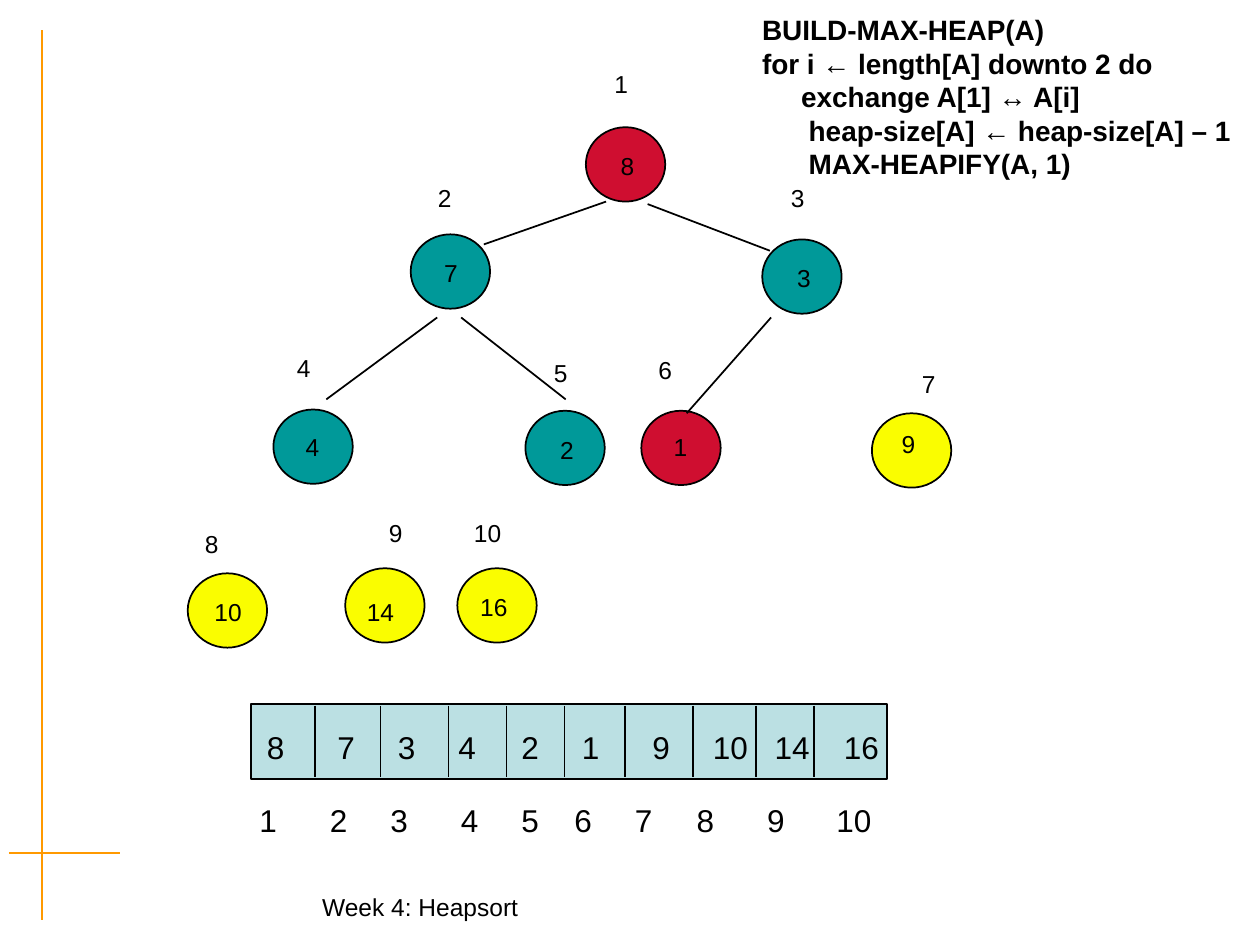
from lxml import etree
from pptx import Presentation
from pptx import util as u
from pptx.dml.color import RGBColor
from pptx.enum import shapes, text
from pptx.oxml.ns import qn

BLACK = RGBColor(0x00, 0x00, 0x00)
ORANGE = RGBColor(0xFF, 0x99, 0x00)
RED = RGBColor(0xCF, 0x0E, 0x30)
TEAL = RGBColor(0x00, 0x99, 0x99)
YELLOW = RGBColor(0xFA, 0xFD, 0x00)
PALE_BLUE = RGBColor(0xBB, 0xE0, 0xE3)

CENTER = text.PP_ALIGN.CENTER
LEFT = text.PP_ALIGN.LEFT

# Heap nodes: value, colour, then left and top of circle, value and index
NODES = [
    ("8", RED, (4.65, 1.01), (4.71, 1.15), (4.69, 0.5)),
    ("7", TEAL, (3.26, 1.86), (3.31, 2.0), (3.29, 1.4)),
    ("3", TEAL, (6.05, 1.9), (6.11, 2.04), (6.09, 1.4)),
    ("4", TEAL, (2.17, 3.25), (2.21, 3.38), (2.17, 2.75)),
    ("2", TEAL, (4.17, 3.26), (4.23, 3.4), (4.21, 2.79)),
    ("1", RED, (5.09, 3.26), (5.13, 3.38), (5.04, 2.77)),
    ("9", YELLOW, (6.92, 3.28), (6.94, 3.36), (7.13, 2.88)),
    ("10", YELLOW, (1.49, 4.55), (1.54, 4.69), (1.44, 4.15)),
    ("14", YELLOW, (2.74, 4.51), (2.75, 4.69), (2.9, 4.06)),
    ("16", YELLOW, (3.63, 4.51), (3.65, 4.65), (3.63, 4.06)),
]
EDGES = [
    ((4.81, 1.6), (3.84, 1.94)),
    ((5.14, 1.62), (6.11, 1.99)),
    ((3.47, 2.52), (2.59, 3.17)),
    ((3.66, 2.52), (4.49, 3.17)),
    ((6.12, 2.52), (5.45, 3.28)),
]

# Array cells and the tab stops of the two rows of numbers
DIVIDERS = [2.5, 3.02, 3.56, 4.02, 4.48, 4.96, 5.5, 6.0, 6.46]
VALUE_TABS = [0.56, 1.04, 1.52, 2.02, 2.5, 3.06, 3.54, 4.03, 4.58]
INDEX_TABS = [0.56, 1.04, 1.6, 2.08, 2.5, 2.98, 3.47, 4.03, 4.58]

# Pseudocode lines with their indents
CODE = [
    ("BUILD-MAX-HEAP(A)", 0),
    ("for i ← length[A] downto 2 do", 0),
    ("exchange A[1] ↔ A[i]", 0.31),
    ("heap-size[A] ← heap-size[A] – 1", 0.37),
    ("MAX-HEAPIFY(A, 1)", 0.37),
]


def write_line(para, words, *, size=14, bold=False, align=LEFT, indent=0, tabs=()):
    para.alignment = align
    span = para.add_run()
    span.text = words
    span.font.name = "Arial"
    span.font.size = u.Pt(size)
    span.font.bold = bold
    span.font.color.rgb = BLACK
    properties = para._p.get_or_add_pPr()
    if indent:
        properties.set("marL", str(u.Inches(indent)))
        properties.set("indent", "0")
    if tabs:
        stops = etree.SubElement(properties, qn("a:tabLst"))
        for tab in tabs:
            etree.SubElement(stops, qn("a:tab"), pos=str(u.Inches(tab)), algn="l")


class HeapPage:
    """Line style and the page being drawn."""

    def __init__(self, page, line_width=1):
        self.page = page
        self.line_width = line_width

    def line(self, start, end, color=BLACK, width=None):
        connector = self.page.shapes.add_connector(
            shapes.MSO_CONNECTOR.STRAIGHT, *map(u.Inches, start + end))
        connector.line.color.rgb = color
        connector.line.width = u.Pt(width or self.line_width)
        etree.SubElement(connector._element.spPr, qn("a:effectLst"))

    def shape(self, kind, left, top, width, height, fill):
        shape = self.page.shapes.add_shape(
            kind, *map(u.Inches, (left, top, width, height)))
        shape.shadow.inherit = False
        shape.fill.solid()
        shape.fill.fore_color.rgb = fill
        shape.line.color.rgb = BLACK
        shape.line.width = u.Pt(self.line_width)

    def text(self, left, top, width, height, lines, **style):
        box = self.page.shapes.add_textbox(
            *map(u.Inches, (left, top, width, height)))
        frame = box.text_frame
        frame.word_wrap = True
        frame.auto_size = text.MSO_AUTO_SIZE.SHAPE_TO_FIT_TEXT
        for number, (words, indent) in enumerate(lines):
            para = frame.add_paragraph() if number else frame.paragraphs[0]
            write_line(para, words, indent=indent, **style)

    def node(self, index, value, fill, circle_at, value_at, index_at):
        self.shape(shapes.MSO_SHAPE.OVAL, *circle_at, 0.63, 0.59, fill)
        self.text(*value_at, 0.54, 0.33, [(value, 0)], align=CENTER)
        self.text(*index_at, 0.48, 0.33, [(str(index), 0)], align=CENTER)

    def number_row(self, left, top, width, numbers, tabs):
        self.text(left, top, width, 0.4, [("\t".join(numbers), 0)],
                  size=18, tabs=tabs)


def main():
    deck = Presentation()
    deck.slide_width, deck.slide_height = u.Inches(10), u.Inches(7.5)
    heap = HeapPage(deck.slides.add_slide(deck.slide_layouts[6]))

    # Page frame and footer
    heap.line((0.33, 0.24), (0.33, 7.3), ORANGE, 1.19)
    heap.line((0.07, 6.77), (0.95, 6.77), ORANGE, 1.19)
    heap.text(0.88, 7.03, 4.91, 0.34, [("Week 4: Heapsort", 0)], align=CENTER)

    # Heap tree
    for index, node in enumerate(NODES, 1):
        heap.node(index, *node)
    for start, end in EDGES:
        heap.line(start, end)

    # Array
    heap.shape(shapes.MSO_SHAPE.RECTANGLE, 1.99, 5.59, 5.05, 0.59, PALE_BLUE)
    for x in DIVIDERS:
        heap.line((x, 5.6), (x, 6.17))
    heap.number_row(2.02, 5.73, 5.27, [node[0] for node in NODES], VALUE_TABS)
    indexes = [str(index) for index in range(1, len(NODES) + 1)]
    heap.number_row(1.96, 6.31, 5.35, indexes, INDEX_TABS)

    # Pseudocode
    heap.text(5.95, 0.05, 4.05, 1.44, CODE, size=16, bold=True)

    deck.save("out.pptx")


if __name__ == "__main__":
    main()
